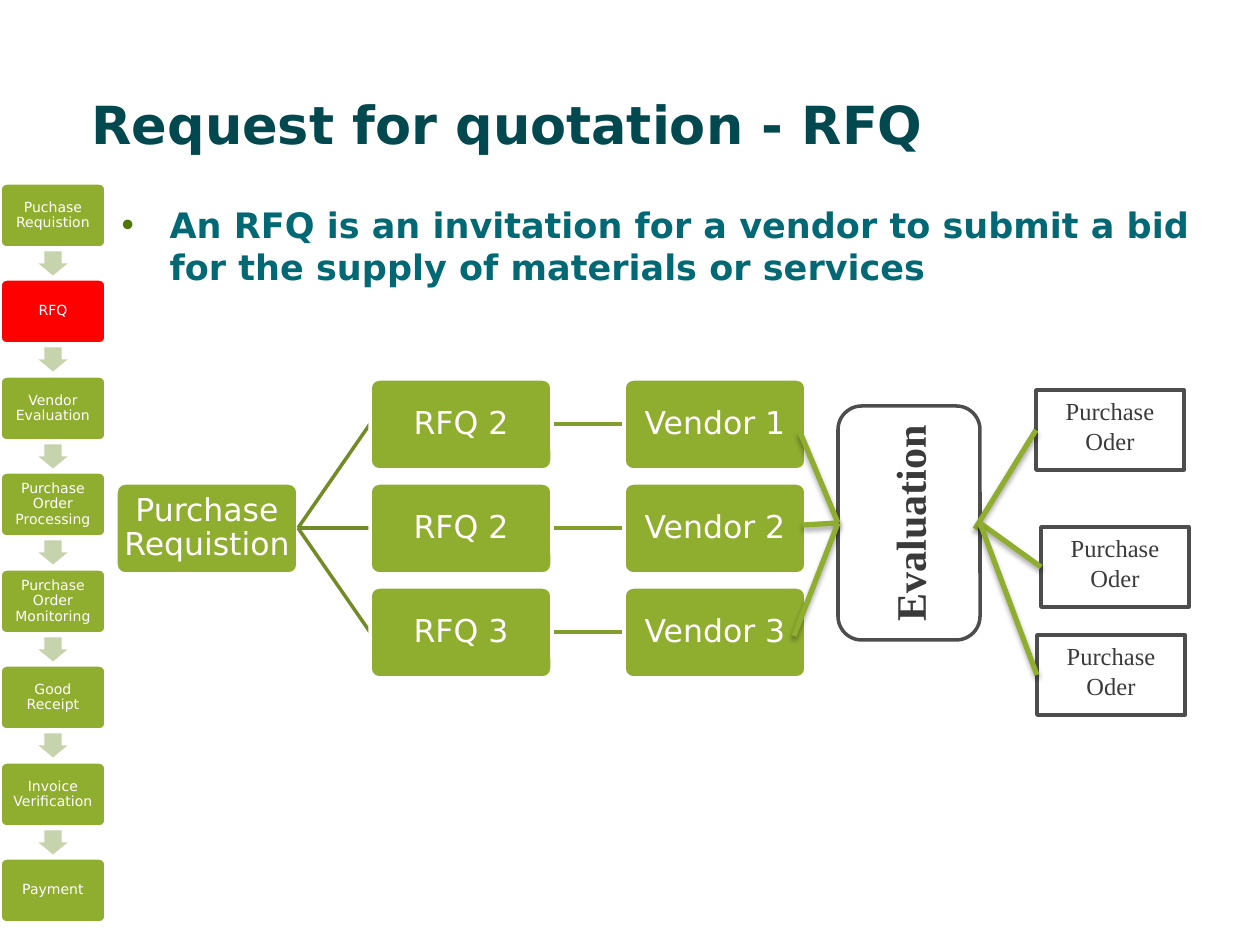
from dataclasses import dataclass

from lxml.etree import SubElement
from pptx import Presentation
from pptx.dml.color import RGBColor
from pptx.enum.shapes import MSO_CONNECTOR, MSO_SHAPE
from pptx.enum.text import MSO_ANCHOR, PP_ALIGN
from pptx.oxml.ns import qn
from pptx.util import Emu, Pt

EMU_PER_PX = 914400 / 126


@dataclass(frozen=True)
class Theme:
    sans: str = "DejaVu Sans"
    serif: str = "Times New Roman"
    title: str = "01484F"
    body: str = "026974"
    bullet: str = "507800"
    green: str = "8FAD2F"
    current: str = "FF0000"
    arrow: str = "C6D3AD"
    first_link: str = "738B26"
    second_link: str = "829D2B"
    white: str = "FFFFFF"
    outline: str = "4D4D4D"
    ink: str = "3A3A3A"
    title_size: int = 30
    body_size: int = 20
    step_size: int = 8
    node_size: int = 18
    evaluation_size: int = 24
    order_size: int = 14


@dataclass(frozen=True)
class Box:
    left: int
    top: int
    width: int
    height: int

    @property
    def middle(self) -> int:
        return self.top + self.height // 2

    @property
    def right(self) -> int:
        return self.left + self.width

    def emu(self) -> tuple:
        return tuple(px(v) for v in (self.left, self.top, self.width, self.height))


@dataclass(frozen=True)
class Line:
    start: tuple
    end: tuple
    color: str
    width: int = 2
    shadow: bool = False


THEME = Theme()
STEPS = ("Puchase Requistion", "RFQ", "Vendor Evaluation", "Purchase Order Processing",
         "Purchase Order Monitoring", "Good Receipt", "Invoice Verification", "Payment")
CURRENT_STEP = "RFQ"
BRANCHES = (("RFQ 2", "Vendor 1"), ("RFQ 2", "Vendor 2"), ("RFQ 3", "Vendor 3"))
ORDER_CORNERS = ((1036, 390), (1041, 527), (1037, 635))
HUB_IN, HUB_OUT = (838, 523), (980, 523)
VENDOR_ENDS = ((800, 432), (803, 525), (794, 636))
ORDER_STARTS = ((975, 529), HUB_OUT, HUB_OUT)


def px(value: int) -> Emu:
    return Emu(round(value * EMU_PER_PX))


def rgb(value: str) -> RGBColor:
    return RGBColor.from_string(value)


def write(shape, text: str, *, size: int, color: str, font: str = THEME.sans,
          bold: bool = False, align=PP_ALIGN.CENTER, anchor=MSO_ANCHOR.MIDDLE,
          spacing: float | None = None, margin: int | None = None):
    frame = shape.text_frame
    frame.word_wrap = True
    frame.vertical_anchor = anchor
    if margin is not None:
        frame.margin_left = frame.margin_right = px(margin)
        frame.margin_top = frame.margin_bottom = px(margin)
    para = frame.paragraphs[0]
    para.alignment = align
    if spacing is not None:
        para.line_spacing = spacing
    span = para.add_run()
    span.text = text
    span.font.name = font
    span.font.size = Pt(size)
    span.font.bold = bold
    span.font.color.rgb = rgb(color)
    return para


def draw_shape(page, kind, box: Box, fill: str, *, line: str | None = None,
               adjustments: tuple = ()):
    shape = page.shapes.add_shape(kind, *box.emu())
    shape.shadow.inherit = False
    shape.fill.solid()
    shape.fill.fore_color.rgb = rgb(fill)
    if line:
        shape.line.color.rgb = rgb(line)
        shape.line.width = Pt(2)
    else:
        shape.line.fill.background()
    for index, value in enumerate(adjustments):
        shape.adjustments[index] = value
    return shape


def draw_node(page, box: Box, text: str, size: int, margin: int, fill: str = THEME.green) -> None:
    shape = draw_shape(page, MSO_SHAPE.ROUNDED_RECTANGLE, box, fill,
                       line=THEME.white, adjustments=(0.1,))
    write(shape, text, size=size, color=THEME.white, spacing=0.9, margin=margin)


def draw_line(page, line: Line) -> None:
    ends = (px(v) for v in (*line.start, *line.end))
    connector = page.shapes.add_connector(MSO_CONNECTOR.STRAIGHT, *ends)
    connector.line.color.rgb = rgb(line.color)
    connector.line.width = Pt(line.width)
    effects = SubElement(connector._element.spPr, qn("a:effectLst"))
    if line.shadow:
        shadow = SubElement(effects, qn("a:outerShdw"), blurRad=str(Pt(3.1)),
                            dist=str(Pt(1.8)), dir="5400000", rotWithShape="0")
        color = SubElement(shadow, qn("a:srgbClr"), val="000000")
        SubElement(color, qn("a:alpha"), val="35000")


def place(shape, box: Box) -> None:
    shape.left, shape.top, shape.width, shape.height = box.emu()


def draw_heading(page) -> None:
    title, body = page.placeholders
    place(title, Box(79, 82, 1081, 84))
    write(title, "Request for quotation - RFQ", size=THEME.title_size, color=THEME.title,
          bold=True, align=PP_ALIGN.LEFT)
    place(body, Box(109, 197, 1114, 173))
    para = write(body, "An RFQ is an invitation for a vendor to submit a bid "
                 "for the supply of materials or services", size=THEME.body_size,
                 color=THEME.body, bold=True, align=PP_ALIGN.LEFT, anchor=MSO_ANCHOR.TOP)
    properties = para._p.get_or_add_pPr()
    properties.set("marL", str(px(48)))
    properties.set("indent", str(px(-48)))
    bullet_color = SubElement(properties, qn("a:buClr"))
    SubElement(bullet_color, qn("a:srgbClr"), val=THEME.bullet)
    SubElement(properties, qn("a:buChar"), char="•")


def draw_process(page) -> None:
    for index, step in enumerate(STEPS):
        box = Box(0, 183 + index * 193 // 2, 106, 65)
        fill = THEME.current if step == CURRENT_STEP else THEME.green
        draw_node(page, box, step, THEME.step_size, 6, fill)
        if index < len(STEPS) - 1:
            arrow = draw_shape(page, MSO_SHAPE.RIGHT_ARROW, Box(41, box.top + 66, 24, 29),
                               THEME.arrow, adjustments=(0.6, 0.5))
            arrow.rotation = 90


def draw_tree(page) -> None:
    columns, rows = (116, 370, 624), (379, 483, 587)
    root, *_ = grid = [Box(left, rows[1], 182, 91) for left in columns]
    draw_node(page, root, "Purchase Requistion", THEME.node_size, 4)
    for top, labels in zip(rows, BRANCHES):
        request, vendor = (Box(box.left, top, box.width, box.height) for box in grid[1:])
        draw_line(page, Line((root.right, root.middle), (request.left, request.middle),
                             THEME.first_link))
        draw_line(page, Line((request.right, request.middle), (vendor.left, vendor.middle),
                             THEME.second_link))
        for box, label in zip((request, vendor), labels):
            draw_node(page, box, label, THEME.node_size, 4)


def draw_evaluation(page) -> None:
    hub = draw_shape(page, MSO_SHAPE.ROUNDED_RECTANGLE, Box(838, 406, 142, 234),
                     THEME.white, line=THEME.outline)
    write(hub, "Evaluation", size=THEME.evaluation_size, color=THEME.ink,
          font=THEME.serif, bold=True, margin=0)
    hub.text_frame._txBody.bodyPr.set("vert", "vert270")
    orders = [Box(left, top, 148, 80) for left, top in ORDER_CORNERS]
    for box in orders:
        order = draw_shape(page, MSO_SHAPE.RECTANGLE, box, THEME.white, line=THEME.outline)
        write(order, "Purchase Oder", size=THEME.order_size, color=THEME.ink,
              font=THEME.serif, anchor=MSO_ANCHOR.TOP)
    links = [(end, HUB_IN) for end in VENDOR_ENDS]
    links += [(start, (box.left, box.middle)) for start, box in zip(ORDER_STARTS, orders)]
    for start, end in links:
        draw_line(page, Line(start, end, THEME.green, width=3, shadow=True))


def main() -> None:
    deck = Presentation()
    deck.slide_width, deck.slide_height = px(1260), px(945)
    page = deck.slides.add_slide(deck.slide_layouts[1])
    draw_heading(page)
    draw_process(page)
    draw_tree(page)
    draw_evaluation(page)
    deck.save("out.pptx")


if __name__ == "__main__":
    main()
